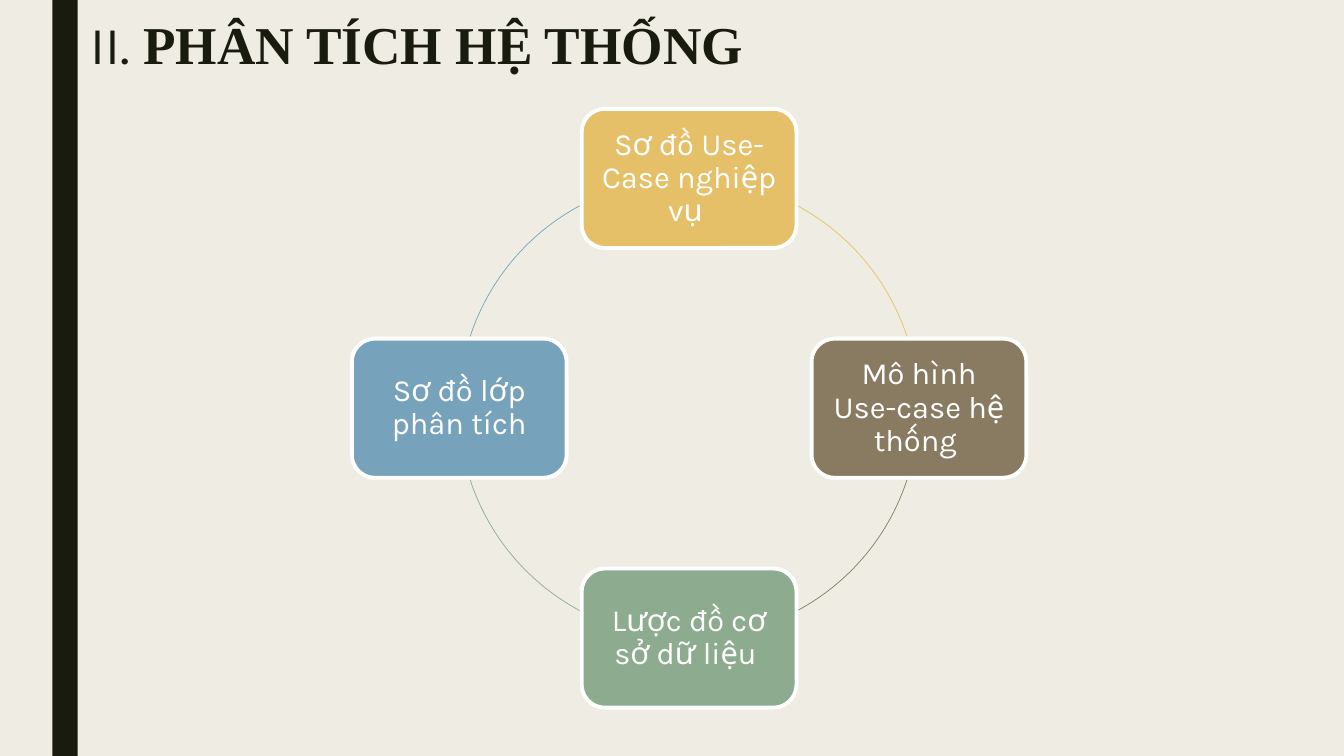
from pptx import Presentation
from pptx.dml.color import RGBColor
from pptx.enum.shapes import MSO_SHAPE
from pptx.enum.text import MSO_ANCHOR, PP_ALIGN
from pptx.util import Pt

RECT, ROUND, ARC = MSO_SHAPE.RECTANGLE, MSO_SHAPE.ROUNDED_RECTANGLE, MSO_SHAPE.ARC
TOP, MIDDLE = MSO_ANCHOR.TOP, MSO_ANCHOR.MIDDLE
LEFT, CENTER = PP_ALIGN.LEFT, PP_ALIGN.CENTER

PX = 9144  # 100 px to the inch
THEME = {
    "paper": "EFEDE3", "ink": "191B0E", "white": "FFFFFF",
    "sans": "Karla", "serif": "Times New Roman",
    "title": 38, "label": 22, "edge": 2.75, "ring": 0.5,
}


def add(kind, x, y, w, h, fill=None, line=None, width=0):
    """Place a preset shape given in px, without shadow."""
    shape = slide.shapes.add_shape(kind, *(v * PX for v in (x, y, w, h)))
    shape.shadow.inherit = False
    for part, color in ((shape.fill, fill), (shape.line.fill, line)):
        if color:
            part.solid()
            part.fore_color.rgb = RGBColor.from_string(color)
        else:
            part.background()
    if line:
        shape.line.width = Pt(width)
    return shape


def write(shape, runs, size, color, inset, anchor, align, space):
    """Fill a shape with one paragraph of (text, font, bold) runs."""
    frame = shape.text_frame
    form = {"word_wrap": True, "vertical_anchor": anchor}
    for side in ("left", "top", "right", "bottom"):
        form["margin_" + side] = inset * PX
    for key, value in form.items():
        setattr(frame, key, value)
    para = frame.paragraphs[0]
    para.alignment, para.line_spacing = align, space
    for text, name, bold in runs:
        run = para.add_run()
        run.text = text
        for key, value in {"name": name, "bold": bold, "size": Pt(size)}.items():
            setattr(run.font, key, value)
        run.font.color.rgb = RGBColor.from_string(color)


deck = Presentation()
deck.slide_width, deck.slide_height = 1333 * PX, 750 * PX
slide = deck.slides.add_slide(deck.slide_layouts[6])
slide.background.fill.solid()
slide.background.fill.fore_color.rgb = RGBColor.from_string(THEME["paper"])

add(RECT, 52, 0, 25, 750, THEME["ink"])
title = slide.shapes.add_textbox(80 * PX, 14 * PX, 1050 * PX, 162 * PX)
write(title, [("II.", THEME["sans"], False), (" PHÂN TÍCH HỆ THỐNG", THEME["serif"], True)],
      THEME["title"], THEME["ink"], 5, TOP, LEFT, 0.89)
title.text_frame.margin_left = 10 * PX

# Clockwise from the top: label, colour, direction from the centre
STEPS = [
    ("Sơ đồ Use-Case nghiệp vụ ", "E6C069", 0, -1),
    ("Mô hình Use-case hệ thống ", "897B61", 1, 0),
    ("Lược đồ cơ sở dữ liệu ", "8DAB8E", 0, 1),
    ("Sơ đồ lớp phân tích", "77A2BB", -1, 0),
]
MID_X, MID_Y, RADIUS = 683, 405, 228
BOX_W, BOX_H = 213, 138
# Arc ends in degrees, clockwise from the right, for each quarter
ARCS = [(298.3, 341.8), (18.2, 61.7), (118.3, 161.8), (198.2, 241.7)]

for (label, color, dx, dy), ends in zip(STEPS, ARCS):
    box = add(ROUND, MID_X + dx * RADIUS - BOX_W // 2, MID_Y + dy * RADIUS - BOX_H // 2,
              BOX_W, BOX_H, color, THEME["white"], THEME["edge"])
    write(box, [(label, THEME["sans"], False)], THEME["label"], THEME["white"],
          9, MIDDLE, CENTER, 0.9)
    arc = add(ARC, MID_X - RADIUS, MID_Y - RADIUS, 2 * RADIUS, 2 * RADIUS,
              line=color, width=THEME["ring"])
    for i, angle in enumerate(ends):
        arc.adjustments[i] = angle * 0.6  # 60000 units a degree, over 100000

deck.save("out.pptx")
